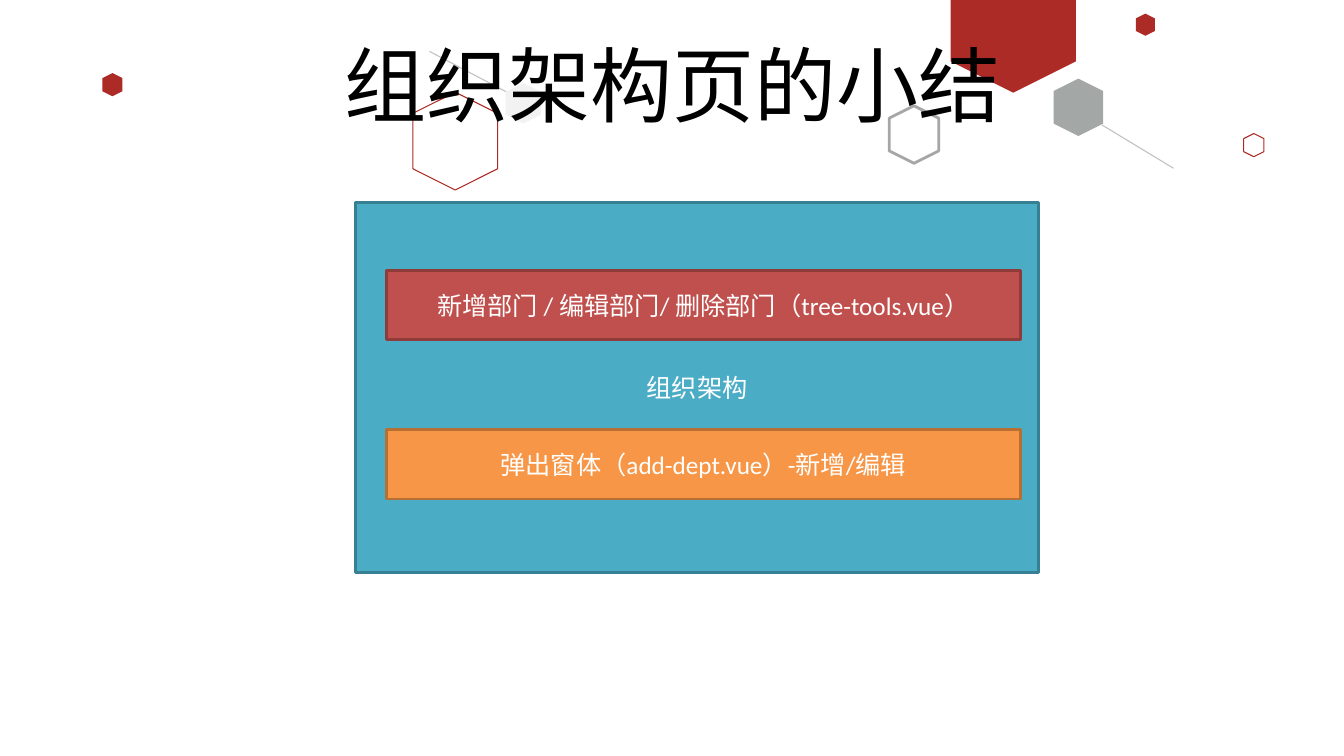
from lxml import etree
from pptx import Presentation
from pptx.dml.color import RGBColor
from pptx.enum.shapes import MSO_CONNECTOR, MSO_SHAPE
from pptx.enum.text import MSO_ANCHOR, PP_ALIGN
from pptx.oxml.ns import qn
from pptx.util import Inches, Pt

RECT, HEXAGON = MSO_SHAPE.RECTANGLE, MSO_SHAPE.HEXAGON
STRAIGHT = MSO_CONNECTOR.STRAIGHT
TOP, MIDDLE, CENTER = MSO_ANCHOR.TOP, MSO_ANCHOR.MIDDLE, PP_ALIGN.CENTER

COLORS = {
    "red": "AD2B26", "slate": "49504F", "gray": "A6A6A6", "pale": "F2F2F2",
    "thread": "BFBFBF", "black": "000000", "white": "FFFFFF",
    "teal": "4BACC6", "teal_edge": "377F92",
    "brick": "C0504D", "brick_edge": "8E3B39",
    "orange": "F79646", "orange_edge": "B76F34",
}

TITLE = "组织架构页的小结"
TITLE_BOX = (0.92, 0.4, 11.5, 1.45)
PANEL = ("组织架构", "teal", (3.53, 2.01, 6.77, 3.67))
BARS = [
    ("新增部门 / 编辑部门/ 删除部门（tree-tools.vue）", "brick"),
    ("弹出窗体（add-dept.vue）-新增/编辑", "orange"),
]
BAR_LEFT, BAR_TOP, BAR_WIDE, BAR_HIGH, BAR_STEP = 3.83, 2.68, 6.29, 0.69, 1.58

BANNER = [(9.43, -0.21), (10.67, -0.21), (10.67, 0.61), (10.05, 0.92), (9.43, 0.61)]
# Box before the quarter turn, fill, line, line width
HEXES = [
    ((10.41, 0.82, 0.57, 0.49), "slate", None, 0),
    ((8.78, 1.09, 0.57, 0.49), None, "gray", 2),
    ((11.25, 0.15, 0.22, 0.19), "red", None, 0),
    ((4.03, 0.98, 0.97, 0.84), None, "red", 0.75),
    ((12.32, 1.34, 0.23, 0.2), None, "red", 0.75),
    ((1, 0.74, 0.23, 0.2), "red", None, 0),
    ((4.99, 0.85, 0.4, 0.35), "pale", None, 0),
]
THREADS = [(10.93, 1.24, 11.64, 1.67), (4.26, 0.51, 5.02, 0.91)]


def rgb(name):
    """Look up a named colour."""
    return RGBColor.from_string(COLORS[name])


def paint(shape, fill=None, line=None, width=0):
    """Set fill and outline, and drop the shadow."""
    shape.shadow.inherit = False
    if fill:
        shape.fill.solid()
        shape.fill.fore_color.rgb = rgb(fill)
    else:
        shape.fill.background()
    if line:
        shape.line.color.rgb = rgb(line)
        shape.line.width = Pt(width)
    else:
        shape.line.fill.background()


def write(shape, text, size, color, anchor, space=1.0):
    """Put one centred line of text in a shape."""
    frame = shape.text_frame
    frame.word_wrap = True
    frame.vertical_anchor = anchor
    para = frame.paragraphs[0]
    para.alignment, para.line_spacing = CENTER, space
    run = para.add_run()
    run.text = text
    for key, value in {"name": "Calibri", "size": Pt(size)}.items():
        setattr(run.font, key, value)
    run.font.color.rgb = rgb(color)


def add_box(text, tone, box):
    """Draw a labelled rectangle with a darker edge."""
    shape = shapes.add_shape(RECT, *map(Inches, box))
    paint(shape, tone, tone + "_edge", 2)
    write(shape, text, 18, "white", MIDDLE)


def add_hex(box, fill, line, width):
    """Draw a hexagon that stands on its point."""
    shape = shapes.add_shape(HEXAGON, *map(Inches, box))
    shape.rotation = 90
    paint(shape, fill, line, width)
    if fill == "slate":
        tint = shape.fill._xPr.find(".//" + qn("a:srgbClr"))
        etree.SubElement(tint, qn("a:alpha"), val="50000")


def add_thread(ends):
    """Draw a thin straight line."""
    line = shapes.add_connector(STRAIGHT, *map(Inches, ends))
    line.line.color.rgb = rgb("thread")
    line.line.width = Pt(0.75)
    etree.SubElement(line._element.spPr, qn("a:effectLst"))


deck = Presentation()
deck.slide_width, deck.slide_height = Inches(13.33), Inches(7.5)
shapes = deck.slides.add_slide(deck.slide_layouts[6]).shapes

points = [(Inches(x), Inches(y)) for x, y in BANNER]
pen = shapes.build_freeform(*points[0])
pen.add_line_segments(points[1:], close=True)
paint(pen.convert_to_shape(), "red")
for item in HEXES:
    add_hex(*item)
for ends in THREADS:
    add_thread(ends)

title = shapes.add_textbox(*map(Inches, TITLE_BOX))
write(title, TITLE, 58.6, "black", TOP, 0.9)
add_box(*PANEL)
for row, (text, tone) in enumerate(BARS):
    add_box(text, tone, (BAR_LEFT, BAR_TOP + row * BAR_STEP, BAR_WIDE, BAR_HIGH))

deck.save("out.pptx")
